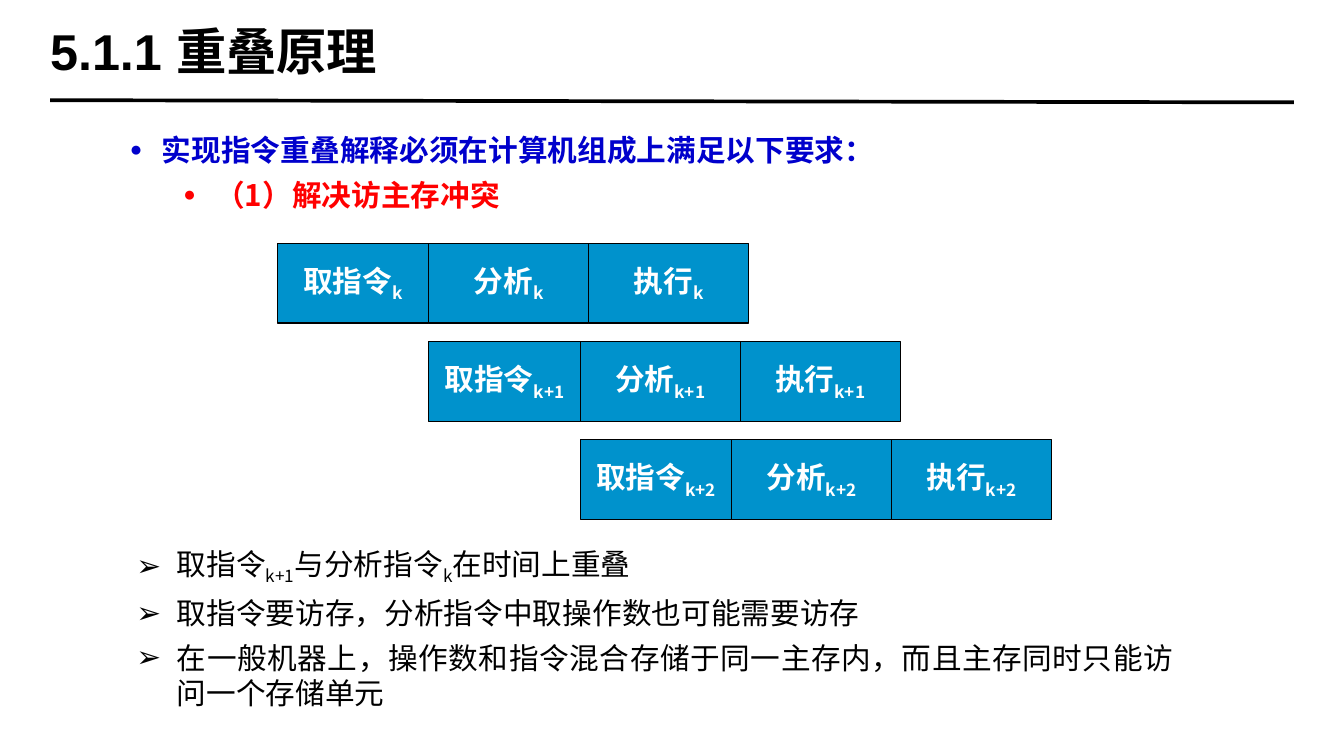
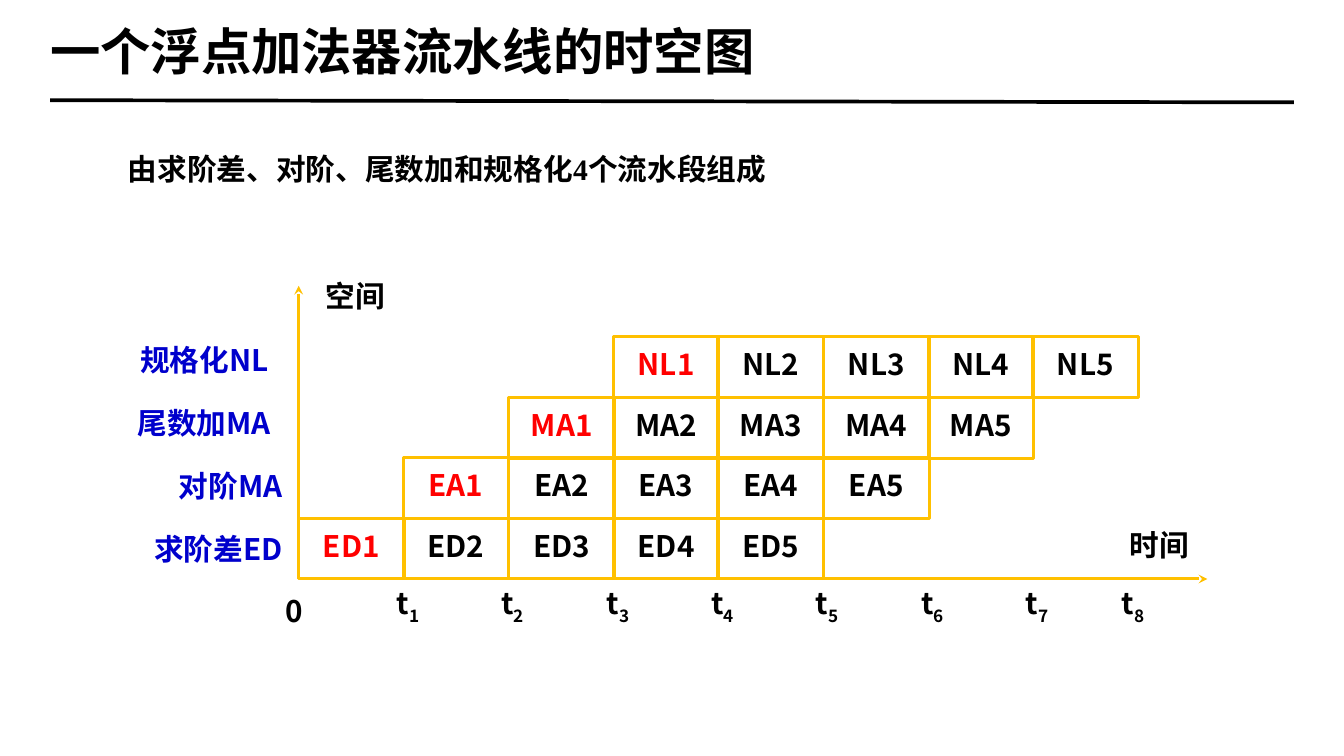
"""Two slides on overlapped instructions and a pipelined adder."""
from lxml import etree
from pptx import Presentation
from pptx.dml.color import RGBColor
from pptx.enum.shapes import MSO_CONNECTOR, MSO_SHAPE
from pptx.enum.text import MSO_ANCHOR, MSO_AUTO_SIZE, PP_ALIGN
from pptx.oxml.ns import qn
from pptx.util import Pt

PX = 9144
RECT = MSO_SHAPE.RECTANGLE
LINE = MSO_CONNECTOR.STRAIGHT
MID, TOP = MSO_ANCHOR.MIDDLE, MSO_ANCHOR.TOP
LEFT, CENTER, RIGHT = PP_ALIGN.LEFT, PP_ALIGN.CENTER, PP_ALIGN.RIGHT
FULL = PP_ALIGN.JUSTIFY
SANS = "Noto Sans CJK SC"
HUE = {
    "black": "000000",
    "white": "FFFFFF",
    "blue": "0000CC",
    "red": "FF0000",
    "cell": "0092CC",
    "gold": "FFC000",
}


def write(shape, text, ink="black", size=20, face=SANS, bold=True, align=LEFT,
          anchor=MID, inset=None, wrap=False, lead=None, gap=0, after=0,
          bullet=None, scale=100, hang=0, margin=0, level=0):
    """Add one paragraph; text between underscores is subscript."""
    frame = shape.text_frame
    frame.word_wrap = wrap
    frame.auto_size = MSO_AUTO_SIZE.NONE
    frame.vertical_anchor = anchor
    if inset:
        frame.margin_left = frame.margin_right = inset[0] * PX
        frame.margin_top = frame.margin_bottom = inset[1] * PX
    first = not frame.text
    par = frame.paragraphs[0] if first else frame.add_paragraph()
    par.alignment = align
    par.level = level
    par.line_spacing = lead
    par.space_before = Pt(0 if first else gap)
    par.space_after = Pt(after)
    if bullet:
        props = par._p.get_or_add_pPr()
        props.set("marL", str(margin * PX))
        props.set("indent", str(-hang * PX))
        etree.SubElement(props, qn("a:buSzPct"), val=str(scale * 1000))
        etree.SubElement(props, qn("a:buFont"), typeface="Arial")
        etree.SubElement(props, qn("a:buChar"), char=bullet)
    for i, part in enumerate(text.split("_")):
        if not part:
            continue
        run = par.add_run()
        run.text = part
        font = run.font
        font.size = Pt(size)
        font.bold = bold
        font.color.rgb = RGBColor.from_string(HUE[ink])
        font.name = face
        props = run._r.get_or_add_rPr()
        etree.SubElement(props, qn("a:ea"), typeface=SANS)
        if i % 2:
            props.set("baseline", "-25000")


def draw(slide, kind, at, edge=None, width=1, fill=None, arrow=False):
    """Add a text box, a rectangle or a line at px lengths."""
    at = [n * PX for n in at]
    if kind is None:
        return slide.shapes.add_textbox(*at)
    if kind is LINE:
        shape = slide.shapes.add_connector(LINE, *at)
    else:
        shape = slide.shapes.add_shape(kind, *at)
        shape.shadow.inherit = False
        if fill:
            shape.fill.solid()
            shape.fill.fore_color.rgb = RGBColor.from_string(HUE[fill])
        else:
            shape.fill.background()
    shape.line.color.rgb = RGBColor.from_string(HUE[edge])
    shape.line.width = Pt(width)
    if kind is LINE:
        if arrow:
            etree.SubElement(shape.line._get_or_add_ln(), qn("a:tailEnd"),
                             type="stealth")
        etree.SubElement(shape._element.spPr, qn("a:effectLst"))
    return shape


deck = Presentation()
deck.slide_width, deck.slide_height = 1260 * PX, 709 * PX
pages = []
for name in ("5.1.1 重叠原理", "一个浮点加法器流水线的时空图"):
    page = deck.slides.add_slide(deck.slide_layouts[5])
    title = page.shapes.title
    title.left, title.top = 47 * PX, 16 * PX
    title.width, title.height = 1165 * PX, 63 * PX
    write(title, name, size=34, face="Arial", inset=(0, 0), wrap=True)
    draw(page, LINE, (47, 94, 1213, 96), edge="black", width=2.5)
    pages.append(page)
over, pipe = pages

goal = draw(over, None, (112, 115, 1169, 129))
for level, (text, ink, margin) in enumerate((
        ("实现指令重叠解释必须在计算机组成上满足以下要求：", "blue", 30),
        ("（1）解决访主存冲突", "red", 80))):
    write(goal, text, ink=ink, anchor=TOP, wrap=True, lead=1.1, gap=2, after=2,
          bullet="●", scale=70, hang=30, margin=margin, level=level)

for row, mark in enumerate(("k", "k+1", "k+2")):
    x, y = 260 + 142 * row, 228 + 92 * row
    for stage, wide in (("取指令", 142), ("分析", 150), ("执行", 150)):
        cell = draw(over, RECT, (x, y, wide, 75), edge="black", width=0.75,
                    fill="cell")
        write(cell, f"{stage}_{mark}", ink="white", align=CENTER)
        x += wide

notes = draw(over, None, (118, 507, 992, 161))
for text in ("取指令_k+1_与分析指令_k_在时间上重叠",
             "取指令要访存，分析指令中取操作数也可能需要访存",
             "在一般机器上，操作数和指令混合存储于同一主存内，而且主存同时只能访问一个存储单元"):
    write(notes, text, bold=False, align=FULL, anchor=TOP, wrap=True, gap=6,
          bullet="➢", hang=38, margin=38)

intro = draw(pipe, None, (110, 137, 1165, 57))
write(intro, "由求阶差、对阶、尾数加和规格化4个流水段组成",
      face="Times New Roman", anchor=TOP, wrap=True, after=2)

STEP, RISE = 98.3, 56.7
tight = {"inset": (8, 4), "lead": 0.8}
for end in ((1132, 543), (280, 268)):
    draw(pipe, LINE, (280, 543, *end), edge="gold", width=2, arrow=True)

for row, code in enumerate(("ED", "EA", "MA", "NL")):
    for col in range(5):
        x = 280 + round(STEP * (row + col))
        y = 486 - round(RISE * row)
        cell = draw(pipe, RECT, (x, y, 99, 57), edge="gold", width=2)
        write(cell, f"{code}{col + 1}", ink="black" if col else "red",
              align=CENTER, **tight)

for i, (text, x, wide, align) in enumerate((
        ("规格化NL", 110, 163, CENTER), ("尾数加MA", 110, 163, CENTER),
        ("对阶MA", 121, 152, RIGHT), ("求阶差ED", 121, 152, RIGHT))):
    label = draw(pipe, None, (x, 312 + 59 * i, wide, 57))
    write(label, text, ink="blue", align=align, **tight)

marks = [("时间", 1034, 486, 106, 56), ("空间", 280, 252, 106, 57),
         ("0", 247, 551, 57, 49)]
for i in range(8):
    marks.append((f"t_{i + 1}", min(354 + round(STEP * i), 1034), 543, 57, 49))
for text, *at in marks:
    write(draw(pipe, None, at), text, align=CENTER, **tight)

deck.save("out.pptx")
